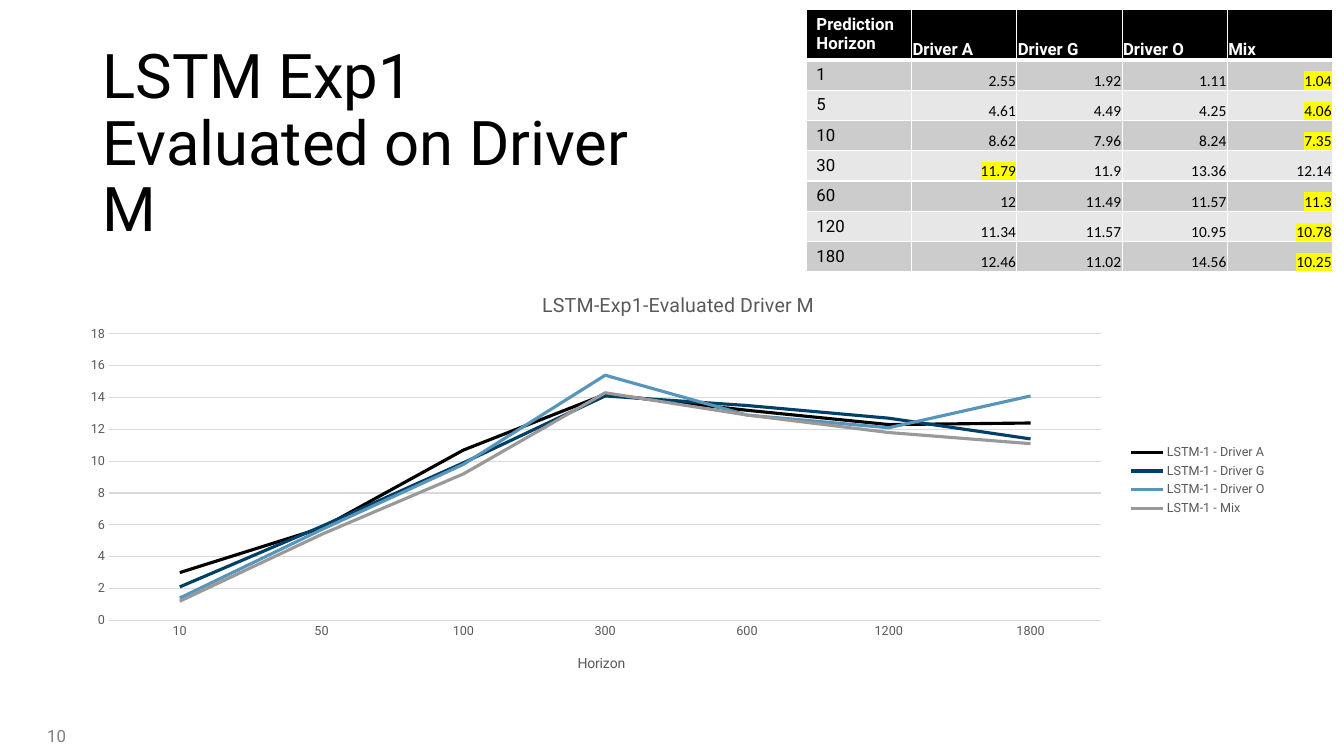
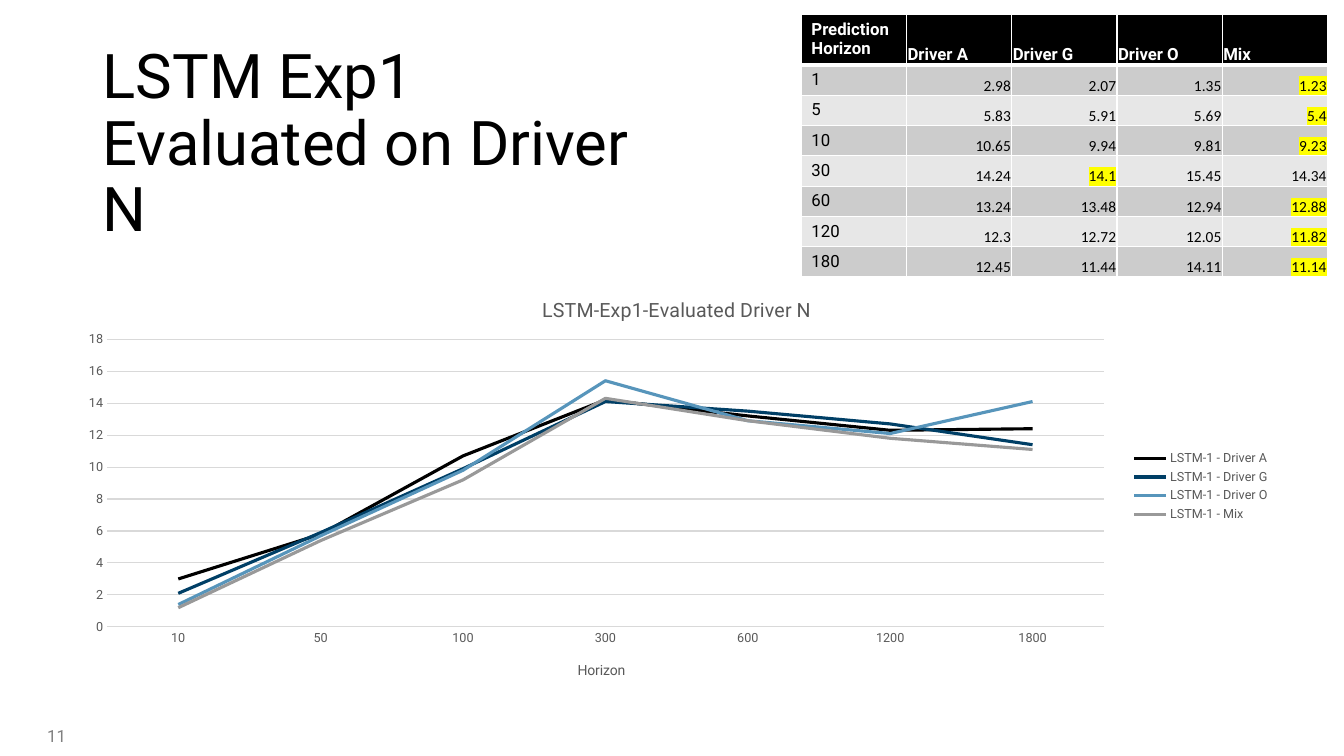
import lxml.etree
import pptx
import pptx.chart.data
import pptx.dml.color
import pptx.enum.chart
import pptx.enum.text
import pptx.oxml.ns
import pptx.util

Pt = pptx.util.Pt
qn = pptx.oxml.ns.qn
ALIGN = pptx.enum.text.PP_ALIGN
ANCHOR = pptx.enum.text.MSO_ANCHOR

BLACK, WHITE, GREY, TEXT, GRID = "000000", "FFFFFF", "808080", "595959", "D9D9D9"
BANDS = ("CCCCCC", "E7E7E7")
MARK = "FFFF00"
FONT, DIGITS = "Roboto", "Calibri"
LINES = (BLACK, "003F66", "5795BB", "999999")

MODELS = ("Driver A", "Driver G", "Driver O", "Mix")
STEPS = (1, 5, 10, 30, 60, 120, 180)
ERRORS_M = (
    (2.55, 1.92, 1.11, 1.04),
    (4.61, 4.49, 4.25, 4.06),
    (8.62, 7.96, 8.24, 7.35),
    (11.79, 11.9, 13.36, 12.14),
    (12, 11.49, 11.57, 11.3),
    (11.34, 11.57, 10.95, 10.78),
    (12.46, 11.02, 14.56, 10.25),
)
ERRORS_N = (
    (2.98, 2.07, 1.35, 1.23),
    (5.83, 5.91, 5.69, 5.4),
    (10.65, 9.94, 9.81, 9.23),
    (14.24, 14.1, 15.45, 14.34),
    (13.24, 13.48, 12.94, 12.88),
    (12.3, 12.72, 12.05, 11.82),
    (12.45, 11.44, 14.11, 11.14),
)

TITLE_BOX = (66.2, 28.8, 422, 104.4)
PAGE_BOX = (26.6, 514.8, 51, 21.6)
COL, HEAD, ROW = 75.2, 36, 21.6


def rgb(code):
    return pptx.dml.color.RGBColor.from_string(code)


def style(font, size, color, bold=False, name=FONT, mark=None):
    """Format a font; the highlight must precede the typeface in the XML."""
    font.size, font.bold = Pt(size), bold
    font.color.rgb = rgb(color)
    if mark:
        light = lxml.etree.SubElement(font.fill._xPr, qn("a:highlight"))
        lxml.etree.SubElement(light, qn("a:srgbClr"), val=mark)
    font.name = name


def write(frame, text, align=None, space=None, **look):
    line = frame.paragraphs[0]
    line.alignment, line.line_spacing = align, space
    run = line.add_run()
    run.text = text
    style(run.font, **look)


def label(slide, box, text, anchor, **look):
    frame = slide.shapes.add_textbox(*map(Pt, box)).text_frame
    frame.word_wrap = True
    frame.vertical_anchor = anchor
    write(frame, text, **look)


def border(cell, **widths):
    """Draw white cell borders; sides are named L, R, T and B in schema order."""
    props = cell._tc.get_or_add_tcPr()
    for side, width in widths.items():
        line = lxml.etree.SubElement(props, qn("a:ln" + side), w=str(Pt(width)))
        fill = lxml.etree.SubElement(line, qn("a:solidFill"))
        lxml.etree.SubElement(fill, qn("a:srgbClr"), val=WHITE)


def fill_cell(cell, row, col, text, **look):
    border(cell, L=1, R=1, T=3 if row == 1 else 1, B=3 if row == 0 else 1)
    cell.fill.solid()
    cell.fill.fore_color.rgb = rgb(BANDS[(row - 1) % 2] if row else BLACK)
    if col:
        cell.vertical_anchor = ANCHOR.BOTTOM
        cell.margin_left = cell.margin_right = cell.margin_top = Pt(0.7)
        cell.margin_bottom = 0
    write(cell.text_frame, text, **look)


def add_grid(slide, left, top, errors):
    """Table of errors, with the lowest of each row highlighted."""
    rows, cols = len(errors) + 1, len(MODELS) + 1
    size = (cols * COL, HEAD + len(errors) * ROW)
    table = slide.shapes.add_table(rows, cols, *map(Pt, (left, top, *size))).table
    table.horz_banding = False
    for col in table.columns:
        col.width = Pt(COL)
    for num, row in enumerate(table.rows):
        row.height = Pt(ROW if num else HEAD)
    for col, name in enumerate(("Prediction Horizon", *MODELS)):
        fill_cell(table.cell(0, col), 0, col, name, size=12, color=WHITE, bold=True)
    for row, (step, vals) in enumerate(zip(STEPS, errors), 1):
        fill_cell(table.cell(row, 0), row, 0, str(step), size=12, color=BLACK)
        for col, val in enumerate(vals, 1):
            fill_cell(table.cell(row, col), row, col, str(val), size=11,
                      color=BLACK, name=DIGITS, align=ALIGN.RIGHT,
                      mark=MARK if val == min(vals) else None)


def lay_out(part, index, **spots):
    """Place a chart part by fractions of the chart's size."""
    old = part.find(qn("c:layout"))
    if old is not None:
        part.remove(old)
    layout = lxml.etree.Element(qn("c:layout"))
    part.insert(index, layout)
    manual = lxml.etree.SubElement(layout, qn("c:manualLayout"))
    if "w" in spots:
        lxml.etree.SubElement(manual, qn("c:layoutTarget"), val="inner")
    for key in ("x", "y"):
        lxml.etree.SubElement(manual, qn(f"c:{key}Mode"), val="edge")
    for key, val in spots.items():
        lxml.etree.SubElement(manual, qn("c:" + key), val=str(val))


def head_chart(title, text, size, x, y):
    write(title.text_frame, text, size=size, color=TEXT)
    lay_out(title._element, 1, x=x, y=y)


def rule(line, color, width):
    line.color.rgb = rgb(color)
    line.width = Pt(width)


def add_plot(slide, box, title, errors):
    data = pptx.chart.data.CategoryChartData()
    data.categories = [str(step * 10) for step in STEPS]
    for name, vals in zip(MODELS, zip(*errors)):
        data.add_series(f"LSTM-1 - {name}", [round(val, 1) for val in vals])
    kind = pptx.enum.chart.XL_CHART_TYPE.LINE
    chart = slide.shapes.add_chart(kind, *map(Pt, box), data).chart
    style(chart.font, 10, BLACK)

    chart.has_title = True
    head_chart(chart.chart_title, title, 14, 0.39, 0.04)
    chart.has_legend = True
    chart.legend.position = pptx.enum.chart.XL_LEGEND_POSITION.RIGHT
    chart.legend.include_in_layout = False
    style(chart.legend.font, 9, TEXT)

    cats, vals = chart.category_axis, chart.value_axis
    for axis in (cats, vals):
        axis.major_tick_mark = pptx.enum.chart.XL_TICK_MARK.NONE
        style(axis.tick_labels.font, 9, TEXT)
    rule(cats.format.line, GRID, 0.75)
    cats.has_title = True
    head_chart(cats.axis_title, "Horizon", 10, 0.42, 0.91)
    vals.minimum_scale, vals.maximum_scale, vals.major_unit = 0, 18, 2
    vals.format.line.fill.background()
    vals.has_major_gridlines = True
    rule(vals.major_gridlines.format.line, GRID, 0.75)

    chart.plots[0].vary_by_categories = False
    for series, color in zip(chart.plots[0].series, LINES):
        series.smooth = False
        rule(series.format.line, color, 2.25)
    area = chart._chartSpace.find(".//" + qn("c:plotArea"))
    lay_out(area, 0, x=0.035, y=0.15, w=0.82, h=0.685)


def add_page(deck, number, driver, errors, spot, box):
    slide = deck.slides.add_slide(deck.slide_layouts[6])
    label(slide, PAGE_BOX, str(number), ANCHOR.MIDDLE, size=12, color=GREY)
    add_plot(slide, box, f"LSTM-Exp1-Evaluated Driver {driver}", ERRORS_N)
    label(slide, TITLE_BOX, f"LSTM Exp1 Evaluated on Driver {driver}",
          ANCHOR.TOP, size=44, color=BLACK, space=0.9)
    add_grid(slide, *spot, errors)


def main():
    deck = pptx.Presentation()
    deck.slide_width, deck.slide_height = Pt(960), Pt(540)
    add_page(deck, 10, "M", ERRORS_M, (576, 6.8), (47.5, 193.7, 864.7, 298.8))
    add_page(deck, 11, "N", ERRORS_N, (572.4, 10.4), (46.1, 197.3, 868.3, 300.2))
    deck.save("out.pptx")


if __name__ == "__main__":
    main()
